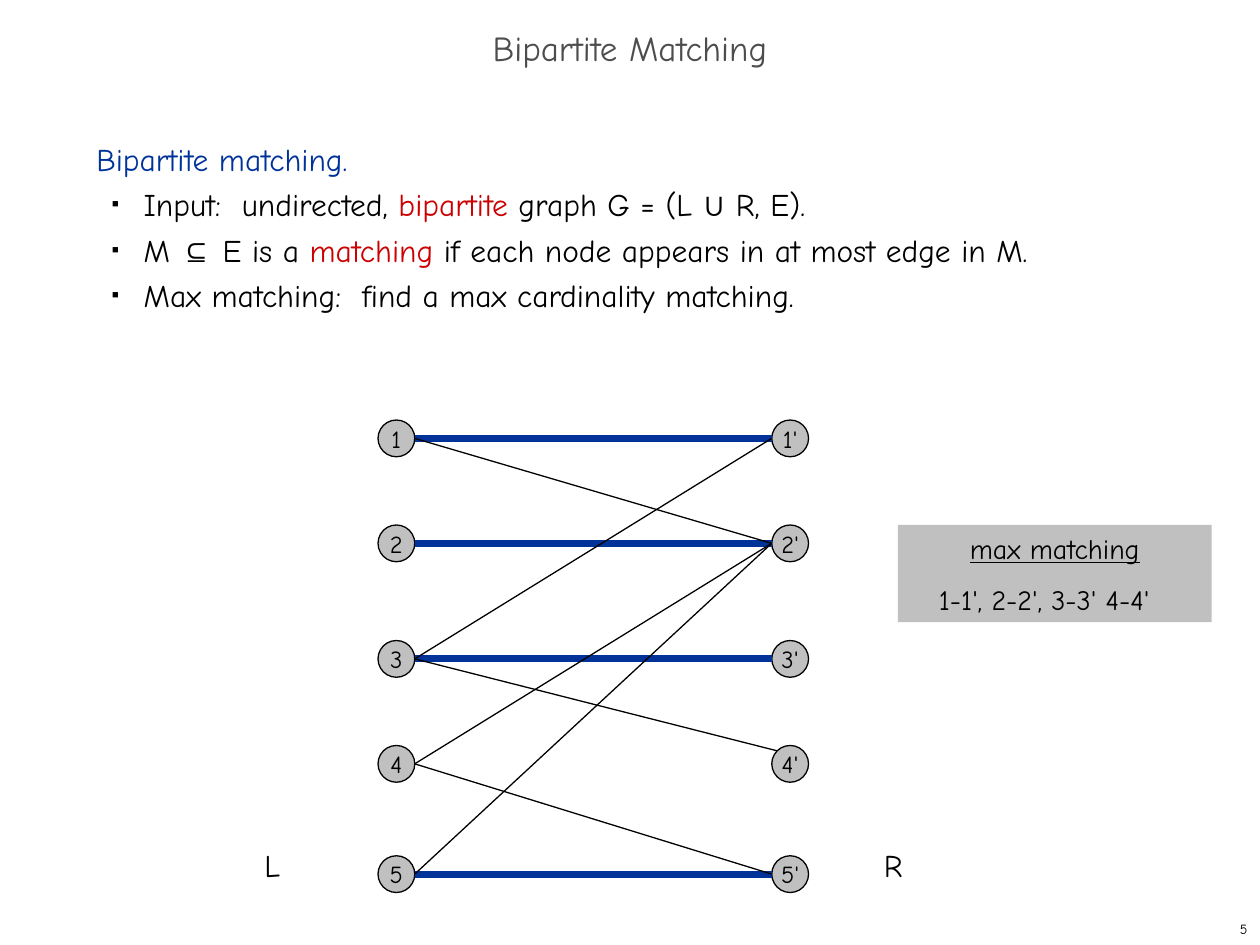
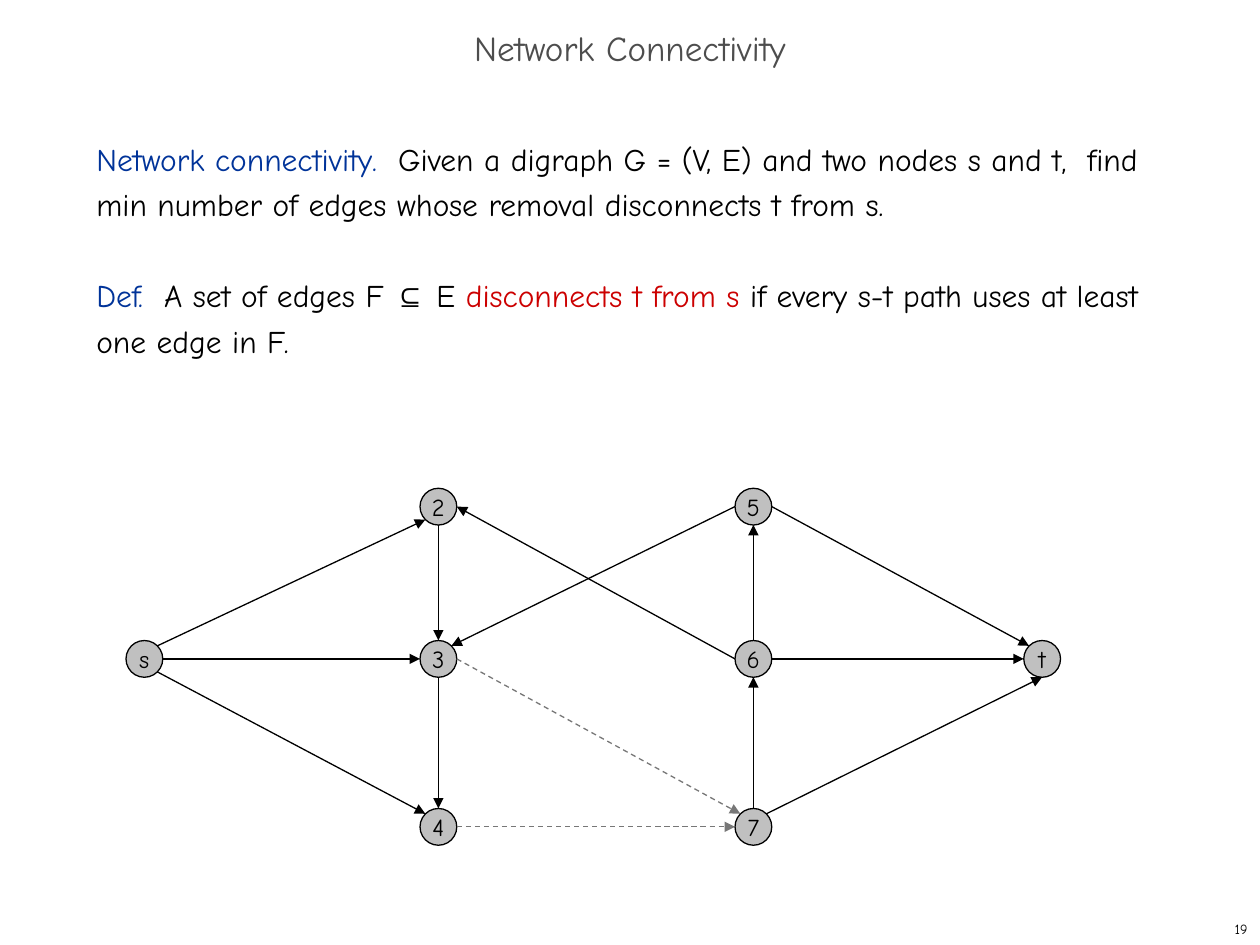
from lxml import etree
from pptx import Presentation
from pptx.dml.color import RGBColor
from pptx.enum.dml import MSO_LINE
from pptx.enum.shapes import MSO_CONNECTOR, MSO_SHAPE
from pptx.enum.text import MSO_ANCHOR, PP_ALIGN
from pptx.oxml.ns import qn
from pptx.util import Emu, Pt

CENTER, RIGHT = PP_ALIGN.CENTER, PP_ALIGN.RIGHT
TOP, MIDDLE = MSO_ANCHOR.TOP, MSO_ANCHOR.MIDDLE
ELLIPSE, RECTANGLE = MSO_SHAPE.OVAL, MSO_SHAPE.RECTANGLE
STRAIGHT, DASH = MSO_CONNECTOR.STRAIGHT, MSO_LINE.DASH

CELL = 38100
COLUMNS, ROWS = 240, 180
NODE = 7
DIAGONAL = 0.71
SIDES = {
    "n": (0, -1), "e": (1, 0), "s": (0, 1), "w": (-1, 0),
    "ne": (DIAGONAL, -DIAGONAL), "se": (DIAGONAL, DIAGONAL),
    "nw": (-DIAGONAL, -DIAGONAL), "sw": (-DIAGONAL, DIAGONAL),
}


def cells(count):
    return Emu(round(count * CELL))


def color(value):
    return RGBColor.from_string(value)


def write(paragraph, text, size=18, ink="000000", font="Comic Neue", underline=False):
    run = paragraph.add_run()
    run.text = text
    run.font.size = Pt(size)
    run.font.name = font
    run.font.underline = underline
    run.font.color.rgb = color(ink)


def add_bullet(paragraph):
    properties = paragraph._p.get_or_add_pPr()
    properties.set("marL", str(cells(9)))
    properties.set("indent", str(-cells(6)))
    bullet_color = etree.SubElement(properties, qn("a:buClr"))
    etree.SubElement(bullet_color, qn("a:srgbClr"), val="000000")
    etree.SubElement(properties, qn("a:buSzPct"), val="35000")
    etree.SubElement(properties, qn("a:buFont"), typeface="Arial")
    etree.SubElement(properties, qn("a:buChar"), char="■")


class GraphSlide:
    blue, red, gray = "003399", "CC0000", "777777"
    black, title_ink, panel = "000000", "4D4D4D", "C0C0C0"

    def __init__(self, presentation, title, number):
        self.slide = presentation.slides.add_slide(presentation.slide_layouts[6])
        self.nodes = {}
        heading = self.text(0, 4, COLUMNS, 12, title, anchor=MIDDLE,
                            align=CENTER, size=20, ink=self.title_ink)
        heading.line_spacing = 0.7
        self.text(190, 174, 50, 6, number, anchor=MIDDLE, align=RIGHT, size=8)

    def frame(self, column, row, width, height, anchor=TOP):
        box = self.slide.shapes.add_textbox(
            cells(column), cells(row), cells(width), cells(height))
        box.text_frame.word_wrap = True
        box.text_frame.vertical_anchor = anchor
        return box.text_frame

    def text(self, column, row, width, height, text, anchor=TOP, align=None, **style):
        paragraph = self.frame(column, row, width, height, anchor).paragraphs[0]
        paragraph.alignment = align
        write(paragraph, text, **style)
        return paragraph

    def body(self, paragraphs):
        frame = self.frame(16, 24, 206, 142)
        for index, (kind, pieces) in enumerate(paragraphs):
            paragraph = frame.add_paragraph() if index else frame.paragraphs[0]
            if kind == "bullet":
                add_bullet(paragraph)
            paragraph.line_spacing = Pt(26)
            if kind == "apart":
                paragraph.space_before = Pt(26)
            for text, style in pieces:
                write(paragraph, text, **style)

    def shape(self, kind, column, row, width, height):
        shape = self.slide.shapes.add_shape(
            kind, cells(column), cells(row), cells(width), cells(height))
        shape.shadow.inherit = False
        shape.fill.solid()
        shape.fill.fore_color.rgb = color(self.panel)
        return shape

    def node(self, label, column, row):
        self.nodes[label] = column, row
        shape = self.shape(ELLIPSE, column - NODE / 2, row - NODE / 2, NODE, NODE)
        shape.line.color.rgb = color(self.black)
        shape.line.width = Pt(0.75)
        shape.text_frame.word_wrap = False
        shape.text_frame.vertical_anchor = MIDDLE
        paragraph = shape.text_frame.paragraphs[0]
        paragraph.alignment = CENTER
        write(paragraph, label, size=14)

    def anchor(self, label, side):
        column, row = self.nodes[label]
        across, down = SIDES[side]
        return cells(column + across * NODE / 2), cells(row + down * NODE / 2)

    def edge(self, start, leave, end, enter, ink="000000", width=0.75,
             dashed=False, arrow=False):
        line = self.slide.shapes.add_connector(
            STRAIGHT, *self.anchor(start, leave), *self.anchor(end, enter))
        line.line.color.rgb = color(ink)
        line.line.width = Pt(width)
        if dashed:
            line.line.dash_style = DASH
        if arrow:
            etree.SubElement(line.line._get_or_add_ln(), qn("a:tailEnd"), type="triangle")
        etree.SubElement(line._element.spPr, qn("a:effectLst"))

    def matching_panel(self, heading, pairs):
        shape = self.shape(RECTANGLE, 171, 100, 59.8, 18.5)
        shape.line.fill.background()
        frame = shape.text_frame
        frame.word_wrap = True
        frame.vertical_anchor = TOP
        first, second = frame.paragraphs[0], frame.add_paragraph()
        first.alignment = second.alignment = CENTER
        second.space_before = Pt(10)
        second._p.get_or_add_pPr().set("marR", str(cells(4)))
        write(first, heading, size=16, underline=True)
        write(second, pairs, size=16)


BLUE = {"ink": GraphSlide.blue}
RED = {"ink": GraphSlide.red}
SYMBOL = {"font": "Arial"}
PLAIN = {}


def bipartite_matching(presentation):
    page = GraphSlide(presentation, "Bipartite Matching", "5")
    page.body([
        ("plain", [("Bipartite matching.", BLUE)]),
        ("bullet", [("Input:  undirected, ", PLAIN), ("bipartite", RED),
                    (" graph G = (L ", PLAIN), ("∪", SYMBOL), (" R, E).", PLAIN)]),
        ("bullet", [("M ", PLAIN), ("⊆", SYMBOL), (" E is a ", PLAIN), ("matching", RED),
                    (" if each node appears in at most edge in M.", PLAIN)]),
        ("bullet", [("Max matching:  find a max cardinality matching.", PLAIN)]),
    ])
    for index, row in enumerate([83.5, 103.5, 125.5, 145.5, 166.5], 1):
        page.node(f"{index}", 75.5, row)
        page.node(f"{index}'", 150.5, row)
    for left in "1235":
        page.edge(left, "e", f"{left}'", "w", ink=page.blue, width=4)
    for left, right, enter in [("1", "2'", "w"), ("3", "1'", "w"), ("3", "4'", "nw"),
                               ("4", "2'", "w"), ("4", "5'", "w"), ("5", "2'", "w")]:
        page.edge(left, "e", right, enter)
    for side, column in [("L", 48), ("R", 166)]:
        page.text(column, 160, 16, 9.6, side)
    page.matching_panel("max matching", "1-1', 2-2', 3-3' 4-4'")


def network_connectivity(presentation):
    page = GraphSlide(presentation, "Network Connectivity", "19")
    page.body([
        ("plain", [("Network connectivity.  ", BLUE),
                   ("Given a digraph G = (V, E) and two nodes s and t,  find min number "
                    "of edges whose removal disconnects t from s.", PLAIN)]),
        ("apart", [("Def.  ", BLUE), ("A set of edges F ", PLAIN), ("⊆", SYMBOL),
                   (" E ", PLAIN), ("disconnects t from s", RED),
                   (" if every s-t path uses at least one edge in F.", PLAIN)]),
    ])
    top, middle, bottom = 96.5, 125.5, 157.5
    page.node("s", 27.5, middle)
    for labels, column in [("234", 83.5), ("567", 143.5)]:
        for label, row in zip(labels, (top, middle, bottom)):
            page.node(label, column, row)
    page.node("t", 198.5, middle)
    for start, leave, end, enter in [
        ("s", "ne", "2", "sw"), ("s", "e", "3", "w"), ("s", "se", "4", "nw"),
        ("2", "s", "3", "n"), ("3", "s", "4", "n"),
        ("7", "n", "6", "s"), ("6", "n", "5", "s"),
        ("5", "e", "t", "nw"), ("6", "e", "t", "w"), ("7", "ne", "t", "s"),
        ("6", "w", "2", "e"), ("5", "w", "3", "ne"),
    ]:
        page.edge(start, leave, end, enter, arrow=True)
    for start, enter in [("3", "nw"), ("4", "w")]:
        page.edge(start, "e", "7", enter, ink=page.gray, dashed=True, arrow=True)


def main():
    presentation = Presentation()
    presentation.slide_width = cells(COLUMNS)
    presentation.slide_height = cells(ROWS)
    bipartite_matching(presentation)
    network_connectivity(presentation)
    presentation.save("out.pptx")


if __name__ == "__main__":
    main()
